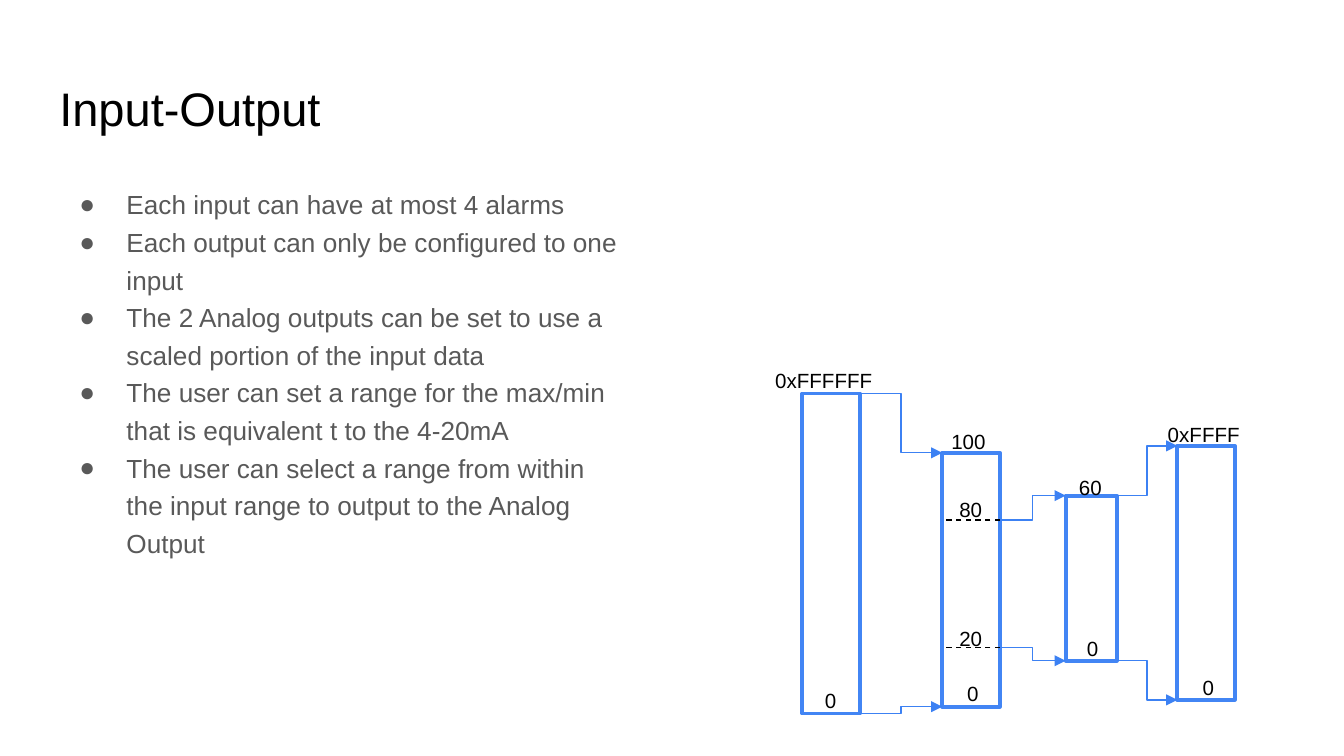
from dataclasses import dataclass

from lxml import etree
from pptx import Presentation
from pptx.dml.color import RGBColor
from pptx.enum import dml, shapes, text
from pptx.oxml.ns import qn
from pptx.util import Cm, Pt


@dataclass(frozen=True)
class Theme:
    font: str = "Arial"
    ink: str = "000000"
    body: str = "595959"
    paper: str = "FFFFFF"
    bar: str = "4285F4"
    link: str = "3C81F3"
    title_size: float = 25.2
    body_size: float = 14
    label_size: float = 11


@dataclass(frozen=True)
class Bar:
    left: float
    top: float
    width: float
    height: float
    labels: tuple  # text, x and y from the bar's corner, width
    marks: tuple = ()  # depths of the dashed lines

    @property
    def right(self):
        return self.left + self.width

    @property
    def bottom(self):
        return self.top + self.height


THEME = Theme()

BULLETS = [
    "Each input can have at most 4 alarms",
    "Each output can only be configured to one input",
    "The 2 Analog outputs can be set to use a scaled portion of the input data",
    "The user can set a range for the max/min that is equivalent t to the 4-20mA",
    "The user can select a range from within the input range to output to the Analog Output",
]

# Centimetres from the corner of the diagram
INPUT = Bar(0.76, 0.61, 1.09, 6.05,
            (("0xFFFFFF", -0.76, -0.61, 2.77), ("0", 0.18, 5.44, 0.66)))
PERCENT = Bar(3.41, 1.73, 1.09, 4.8,
              (("100", -0.08, -0.58, 1.22), ("80", 0.07, 0.71, 1.09),
               ("20", 0.07, 3.15, 1.09), ("0", 0.22, 4.19, 0.66)),
              marks=(1.27, 3.68))
WINDOW = Bar(5.74, 2.54, 0.97, 3.12,
             (("60", 0, -0.53, 1.09), ("0", 0.15, 2.52, 1.09)))
OUTPUT = Bar(7.85, 1.6, 1.09, 4.8,
             (("0xFFFF", -0.43, -0.58, 1.98), ("0", 0.23, 4.19, 0.66)))
BARS = (INPUT, PERCENT, WINDOW, OUTPUT)


def set_attrs(target, values):
    for name, value in values.items():
        setattr(target, name, value)


def set_font(font, size, color):
    set_attrs(font, {"name": THEME.font, "size": Pt(size), "bold": False})
    font.color.rgb = RGBColor.from_string(color)


def place(sp, box):
    set_attrs(sp, dict(zip(("left", "top", "width", "height"), map(Cm, box))))


def set_frame(tf, anchor, side=0.25, edge=0.25, wrap=True):
    set_attrs(tf, {
        "word_wrap": wrap, "auto_size": text.MSO_AUTO_SIZE.NONE,
        "vertical_anchor": anchor,
        "margin_left": Cm(side), "margin_right": Cm(side),
        "margin_top": Cm(edge), "margin_bottom": Cm(edge),
    })


def add_bullet(p):
    pPr = p._p.get_or_add_pPr()
    pPr.set("marL", str(Cm(1.27)))
    pPr.set("indent", str(Cm(-0.89)))
    color = etree.SubElement(pPr, qn("a:buClr"))
    etree.SubElement(color, qn("a:srgbClr"), val=THEME.body)
    etree.SubElement(pPr, qn("a:buFont"), typeface=THEME.font)
    etree.SubElement(pPr, qn("a:buChar"), char="●")


def fill_title(sp, box):
    place(sp, box)
    tf = sp.text_frame
    set_frame(tf, text.MSO_ANCHOR.MIDDLE)
    p = tf.paragraphs[0]
    p.text = "Input-Output"
    p.alignment = text.PP_ALIGN.LEFT
    set_font(p.runs[0].font, THEME.title_size, THEME.ink)


def fill_body(sp, box):
    place(sp, box)
    tf = sp.text_frame
    set_frame(tf, text.MSO_ANCHOR.TOP)
    tf.text = "\n".join(BULLETS)
    for p in tf.paragraphs:
        add_bullet(p)
        set_attrs(p, {"line_spacing": 1.2, "space_before": Pt(0),
                      "space_after": Pt(0), "alignment": text.PP_ALIGN.LEFT})
        set_font(p.runs[0].font, THEME.body_size, THEME.body)


def add_line(slide, kind, ends, color):
    s = slide.shapes.add_connector(kind, *map(Cm, ends))
    s.line.width = Pt(0.75)
    s.line.color.rgb = RGBColor.from_string(color)
    etree.SubElement(s._element.spPr, qn("a:effectLst"))
    return s


def add_bar(slide, bar, x, y):
    box = (x + bar.left, y + bar.top, bar.width, bar.height)
    s = slide.shapes.add_shape(shapes.MSO_SHAPE.RECTANGLE, *map(Cm, box))
    s.shadow.inherit = False
    s.fill.solid()
    s.fill.fore_color.rgb = RGBColor.from_string(THEME.paper)
    s.line.color.rgb = RGBColor.from_string(THEME.bar)
    s.line.width = Pt(2)
    for depth in bar.marks:
        level = y + bar.top + depth
        mark = add_line(slide, shapes.MSO_CONNECTOR.STRAIGHT,
                        (x + bar.right, level, x + bar.left, level), THEME.ink)
        mark.line.dash_style = dml.MSO_LINE.DASH


def add_labels(slide, bar, x, y):
    for label, dx, dy, width in bar.labels:
        box = (x + bar.left + dx, y + bar.top + dy, width, 0.74)
        s = slide.shapes.add_textbox(*map(Cm, box))
        set_frame(s.text_frame, text.MSO_ANCHOR.TOP, edge=0.13)
        p = s.text_frame.paragraphs[0]
        p.text = label
        set_font(p.runs[0].font, THEME.label_size, THEME.ink)


def add_link(slide, ends):
    s = add_line(slide, shapes.MSO_CONNECTOR.ELBOW, ends, THEME.link)
    etree.SubElement(s.line._get_or_add_ln(), qn("a:tailEnd"), type="triangle")


def draw_scaling(slide, x, y):
    for bar in BARS:
        add_bar(slide, bar, x, y)
    # Each range opens onto the full height of the next bar
    for a, b in zip(BARS, BARS[1:]):
        starts = [a.top + m for m in a.marks] or [a.top, a.bottom]
        for start, end in zip(starts, (b.top, b.bottom)):
            add_link(slide, (x + a.right, y + start, x + b.left, y + end))
    for bar in BARS:
        add_labels(slide, bar, x, y)


def main():
    prs = Presentation()
    prs.slide_width, prs.slide_height = Cm(25.4), Cm(14.29)
    slide = prs.slides.add_slide(prs.slide_layouts[1])
    fill_title(slide.shapes.title, (0.87, 1.24, 23.67, 1.6))
    fill_body(slide.placeholders[1], (0.87, 3.2, 11.1, 9.5))
    draw_scaling(slide, 14.4, 6.83)
    prs.save("out.pptx")


if __name__ == "__main__":
    main()
